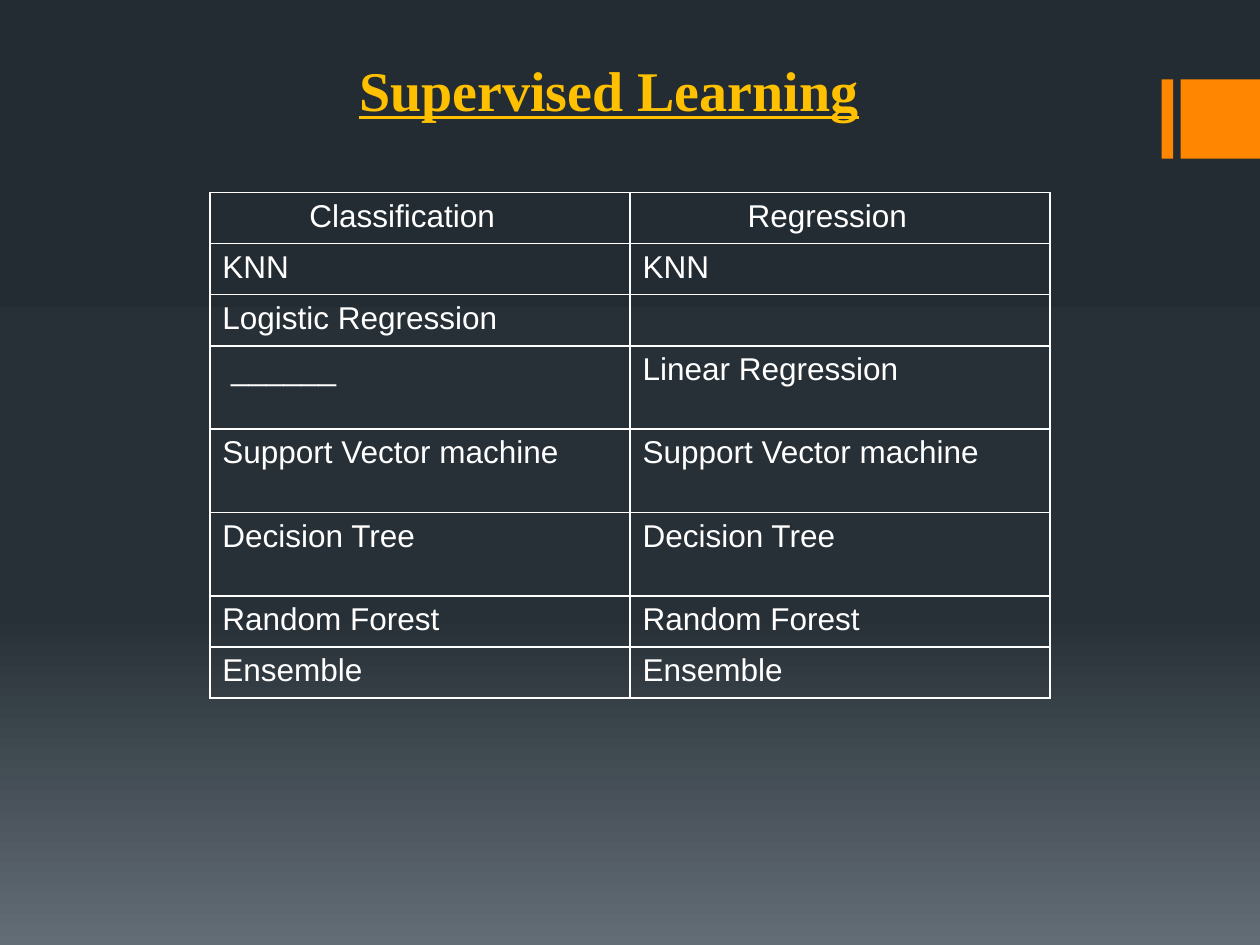
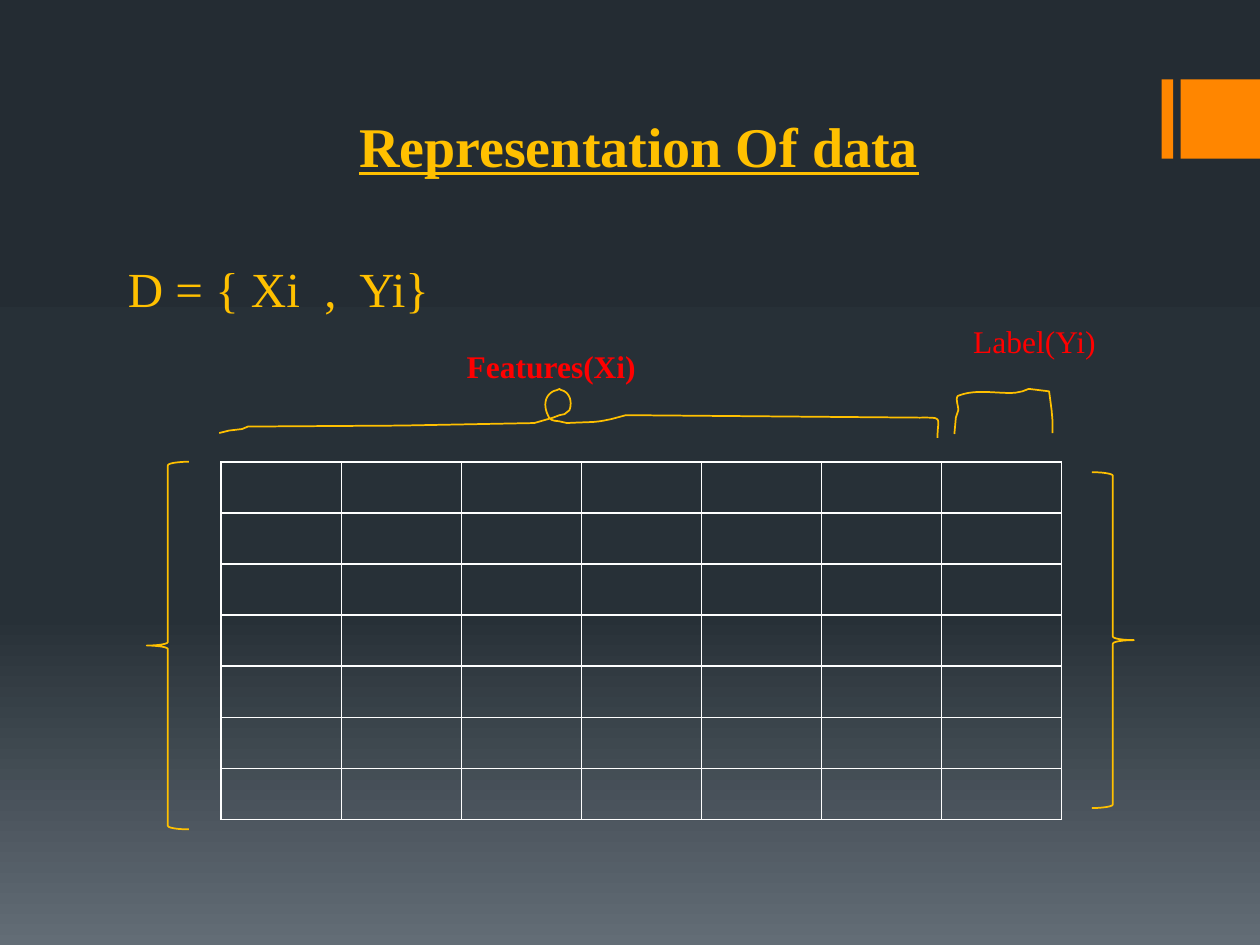
from copy import deepcopy

from lxml import etree
from pptx import Presentation
from pptx.dml.color import RGBColor
from pptx.enum.shapes import MSO_SHAPE
from pptx.enum.text import MSO_AUTO_SIZE
from pptx.oxml.ns import qn
from pptx.util import Cm, Pt

RECTANGLE = MSO_SHAPE.RECTANGLE
LEFT_BRACE = MSO_SHAPE.LEFT_BRACE
RIGHT_BRACE = MSO_SHAPE.RIGHT_BRACE
GROW = MSO_AUTO_SIZE.SHAPE_TO_FIT_TEXT

ORANGE = RGBColor(0xFF, 0x86, 0x00)
GOLD = RGBColor(0xFF, 0xC0, 0x00)
RED = RGBColor(0xFF, 0x00, 0x00)
WHITE = RGBColor(0xFF, 0xFF, 0xFF)
BACKDROP = [(0, RGBColor(0x24, 0x2C, 0x33)),
            (0.65, RGBColor(0x27, 0x30, 0x37)),
            (1, RGBColor(0x63, 0x6D, 0x76))]

SANS = "Arial"
SERIF = "Times New Roman"
ROW_HEIGHT = 1.03
TALL_ROW = 1.68
CELL_MARGIN = 0.25
CURVE_STEPS = 12

ALGORITHMS = [
    ("Classification", "Regression"),
    ("KNN", "KNN"),
    ("Logistic Regression", ""),
    (" ______", "Linear Regression"),
    ("Support Vector machine", "Support Vector machine"),
    ("Decision Tree", "Decision Tree"),
    ("Random Forest", "Random Forest"),
    ("Ensemble", "Ensemble"),
]
TALL_ROWS = (3, 4, 5)
HEADING_INDENTS = (1.76, 2.12)

# Two numbers end a straight piece; six give the handles and end of a curve.
FEATURES_BRACE = [
    (0, 0.89), (0.2, 0.84), (0.46, 0.81), (0.58, 0.76), (3.66, 0.74),
    (6.35, 0.69), (6.73, 0.58), (6.86, 0.53), (6.96, 0.51), (7.06, 0.43),
    (7.11, 0.3, 7.09, 0.13, 6.96, 0.05), (6.93, 0.03, 6.88, 0.03, 6.86, 0),
    (6.81, 0.03, 6.78, 0.03, 6.73, 0.05),
    (6.55, 0.15, 6.53, 0.36, 6.65, 0.58),
    (6.71, 0.66, 6.81, 0.64, 6.88, 0.66), (7.01, 0.69),
    (7.52, 0.66, 7.54, 0.69, 7.9, 0.61), (8.2, 0.53), (14.12, 0.58),
    (14.61, 0.58, 14.48, 0.56, 14.48, 0.99),
]
LABEL_BRACE = [
    (0, 0.91), (0.03, 0.58), (0.08, 0.43),
    (0.08, 0.33, 0, 0.15, 0.1, 0.13), (0.46, 0, 0.84, 0.1, 1.22, 0.08),
    (1.37, 0.05), (1.5, 0), (1.91, 0.05), (1.96, 0.43), (1.98, 0.66),
    (1.98, 0.89),
]


def set_backdrop(deck):
    master = deck.slide_master
    fill = master.background.fill
    fill.gradient()
    fill.gradient_angle = 270
    stop_list = master.element.find(".//" + qn("a:gsLst"))
    while len(stop_list) < len(BACKDROP):
        stop_list.append(deepcopy(stop_list[-1]))
    for stop, (position, color) in zip(fill.gradient_stops, BACKDROP):
        stop.position = position
        stop.color.rgb = color


def add_page(deck):
    """Add a blank page with the orange bands at its right edge."""
    page = deck.slides.add_slide(deck.slide_layouts[6])
    for left, width in ((23.42, 0.23), (23.8, 1.6)):
        band = page.shapes.add_shape(RECTANGLE, Cm(left), Cm(1.6), Cm(width), Cm(1.6))
        band.shadow.inherit = False
        band.fill.solid()
        band.fill.fore_color.rgb = ORANGE
        band.line.fill.background()
    return page


def add_span(para, text, size, color, font=SERIF, bold=False, underline=False):
    span = para.add_run()
    span.text = text
    span.font.name = font
    span.font.size = Pt(size)
    span.font.color.rgb = color
    span.font.bold = bold
    span.font.underline = underline


def add_text(page, box, text, size, color, **style):
    frame = page.shapes.add_textbox(*map(Cm, box)).text_frame
    frame.word_wrap = False
    frame.auto_size = GROW
    add_span(frame.paragraphs[0], text, size, color, **style)


def add_title(page, top, width, text):
    add_text(page, (6.99, top, width, 1.62), text, 32, GOLD, bold=True, underline=True)


def style_cell(cell):
    """Give the cell white borders and no fill."""
    properties = cell._tc.get_or_add_tcPr()
    for side in ("a:lnL", "a:lnR", "a:lnT", "a:lnB"):
        border = etree.SubElement(properties, qn(side), w=str(Pt(1)))
        fill = etree.SubElement(border, qn("a:solidFill"))
        etree.SubElement(fill, qn("a:srgbClr"), val=str(WHITE))
    cell.fill.background()


def add_grid(page, left, top, column_width, column_count, row_heights):
    table = page.shapes.add_table(
        len(row_heights), column_count, Cm(left), Cm(top),
        Cm(column_width * column_count), Cm(sum(row_heights))).table
    table.first_row = False
    table.horz_banding = False
    for column in table.columns:
        column.width = Cm(column_width)
    for row, height in zip(table.rows, row_heights):
        row.height = Cm(height)
    for cell in table.iter_cells():
        style_cell(cell)
    return table


def style_outline(shape):
    shape.shadow.inherit = False
    shape.fill.background()
    shape.line.color.rgb = GOLD
    shape.line.width = Pt(1)


def add_brace(page, kind, box):
    style_outline(page.shapes.add_shape(kind, *map(Cm, box)))


def curve_points(start, piece):
    """Return points along the cubic curve from start."""
    x1, y1, x2, y2, x3, y3 = piece
    points = []
    for step in range(1, CURVE_STEPS + 1):
        t = step / CURVE_STEPS
        weights = ((1 - t) ** 3, 3 * t * (1 - t) ** 2, 3 * t * t * (1 - t), t ** 3)
        points.append(tuple(
            sum(weight * value for weight, value in zip(weights, values))
            for values in ((start[0], x1, x2, x3), (start[1], y1, y2, y3))))
    return points


def add_drawn_brace(page, left, top, pieces):
    points = [pieces[0]]
    for piece in pieces[1:]:
        points += [piece] if len(piece) == 2 else curve_points(points[-1], piece)
    corners = [(Cm(x), Cm(y)) for x, y in points]
    builder = page.shapes.build_freeform(*corners[0])
    builder.add_line_segments(corners[1:], close=False)
    style_outline(builder.convert_to_shape(Cm(left), Cm(top)))


def add_algorithm_table(page, left, top):
    heights = [TALL_ROW if row in TALL_ROWS else ROW_HEIGHT
               for row in range(len(ALGORITHMS))]
    table = add_grid(page, left, top, 8.47, 2, heights)
    for row, names in enumerate(ALGORITHMS):
        for column, name in enumerate(names):
            if name:
                para = table.cell(row, column).text_frame.paragraphs[0]
                add_span(para, name, 18, WHITE, font=SANS)
    for column, indent in enumerate(HEADING_INDENTS):
        table.cell(0, column).margin_left = Cm(CELL_MARGIN + indent)


def add_data_matrix(page, left, top):
    """Draw the empty data grid with its braces and their labels."""
    add_grid(page, left, top, 2.42, 7, [ROW_HEIGHT] * 7)
    add_brace(page, LEFT_BRACE, (left - 1.5, top, 0.85, 7.41))
    add_brace(page, RIGHT_BRACE, (left + 17.55, top + 0.21, 0.85, 6.77))
    add_drawn_brace(page, left - 0.04, top - 1.47, FEATURES_BRACE)
    add_drawn_brace(page, left + 14.78, top - 1.47, LABEL_BRACE)
    add_text(page, (left + 4.7, top - 2.44, 3.96, 1.03), "Features(Xi)", 18, RED, bold=True)
    add_text(page, (left + 14.91, top - 2.95, 3.05, 1.03), "Label(Yi)", 18, RED)


def add_algorithms_page(deck):
    page = add_page(deck)
    add_algorithm_table(page, 4.23, 3.88)
    add_title(page, 1, 10.67, "Supervised Learning")


def add_representation_page(deck):
    page = add_page(deck)
    add_title(page, 2.12, 11.89, "Representation Of data")
    add_text(page, (2.33, 5.08, 6.65, 1.45), "D = { Xi  ,  Yi}", 28, GOLD)
    add_data_matrix(page, 4.46, 9.31)


def main():
    deck = Presentation()
    deck.slide_width, deck.slide_height = Cm(25.4), Cm(19.05)
    set_backdrop(deck)
    add_algorithms_page(deck)
    add_representation_page(deck)
    deck.save("out.pptx")


if __name__ == "__main__":
    main()
